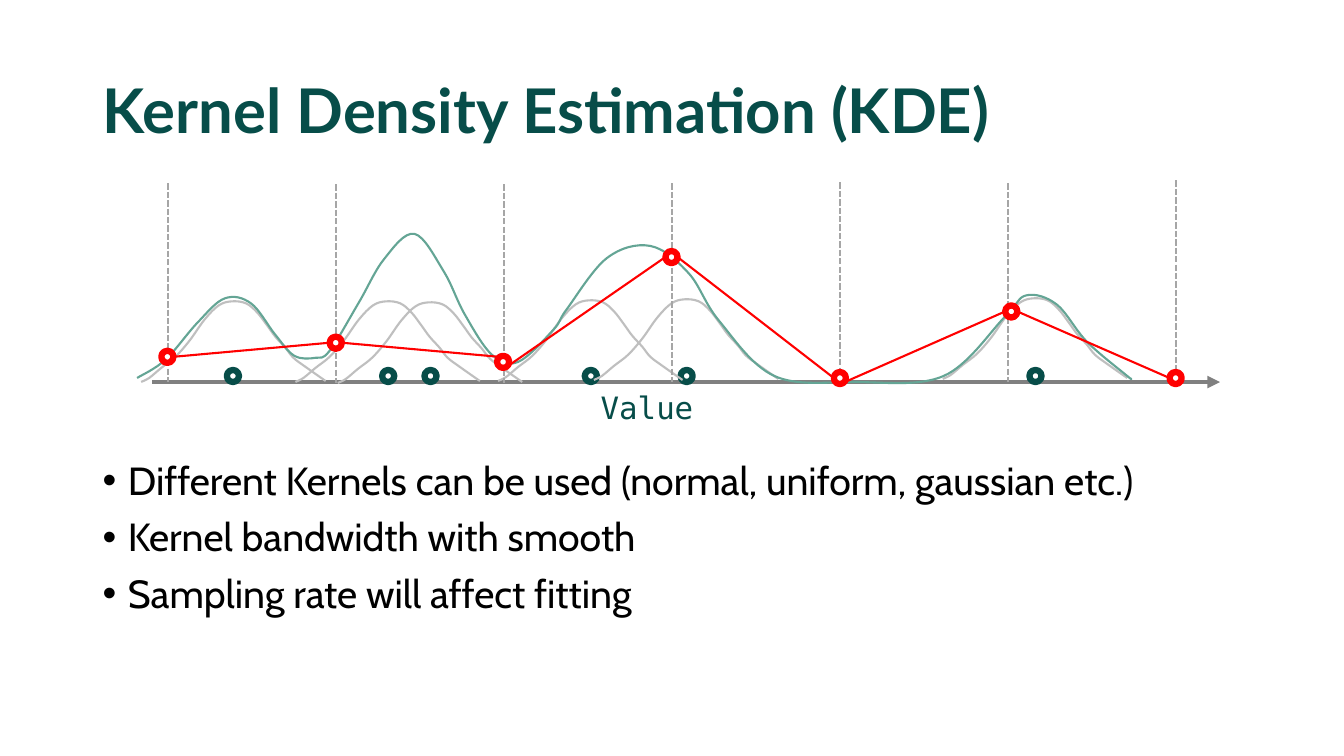
"""Build the kernel density estimation slide."""
from itertools import pairwise

from pptx import Presentation
from pptx.dml.color import RGBColor
from pptx.enum.dml import MSO_LINE
from pptx.enum.shapes import MSO_CONNECTOR, MSO_SHAPE
from pptx.enum.text import MSO_ANCHOR, MSO_AUTO_SIZE, PP_ALIGN
from pptx.oxml.ns import qn
from pptx.oxml.xmlchemy import OxmlElement
from pptx.util import Inches, Pt

COLS, ROWS = 1333, 750
COLORS = {
    "dark": "074D49", "density": "64A595", "kernel": "BFBFBF", "axis": "808080",
    "grid": "A6A6A6", "sample": "FF0000", "text": "000000", "paper": "FFFFFF",
}
AXIS_Y = 379
DOT = 12

DATA_X = [231, 385, 427, 586, 681, 1027]
KERNEL_STARTS = [(140, 379), (935, 376), (335, 380), (494, 378), (589, 377), (293, 379)]
KERNEL = [
    (0, 0), (8, -4), (20, -14), (34, -25), (48, -41), (63, -62), (77, -76),
    (90, -80), (104, -78), (115, -69), (125, -56), (133, -45), (143, -34),
    (151, -24), (163, -15), (180, -3), (183, -1),
]
DENSITY = [
    (136, 375), (164, 357), (196, 320), (223, 296), (249, 301), (273, 332),
    (292, 353), (313, 355), (327, 348), (356, 300), (381, 257), (411, 232),
    (440, 269), (461, 312), (488, 352), (514, 359), (549, 327), (562, 307),
    (602, 256), (645, 244), (683, 271), (713, 318), (768, 373), (848, 379),
    (936, 373), (997, 314), (1018, 293), (1048, 302), (1078, 339),
    (1118, 373), (1121, 375),
]
GRID_TOPS = [182, 183, 183, 182, 181, 182, 179]
GRID_HEIGHT = 197
LEFT, RIGHT, UPPER_LEFT, LOWER_RIGHT = (-6, 0), (6, 0), (-4, -5), (5, 4)
SAMPLES = [
    (166, 354, LEFT, RIGHT), (333, 340, LEFT, RIGHT),
    (499, 359, UPPER_LEFT, LOWER_RIGHT), (666, 255, LEFT, RIGHT),
    (833, 375, LEFT, LOWER_RIGHT), (1003, 309, LEFT, RIGHT),
    (1166, 375, LEFT, RIGHT),
]
BULLETS = [
    "Different Kernels can be used (normal, uniform, gaussian etc.)",
    "Kernel bandwidth with smooth",
    "Sampling rate will affect fitting",
]


class Canvas:
    """Draw styled elements on one slide, measured in grid columns and rows."""

    def __init__(self, prs):
        self.width, self.height = prs.slide_width, prs.slide_height
        self.slide = prs.slides.add_slide(prs.slide_layouts[5])
        self.shapes = self.slide.shapes

    def at(self, col, row):
        return round(col * self.width / COLS), round(row * self.height / ROWS)

    def color(self, name):
        return RGBColor.from_string(COLORS[name])

    def stroke(self, line, color, width):
        line.color.rgb = self.color(color)
        line.width = Pt(width)

    def set_text(self, tf, lines, font, size, color, bold=False, spacing=0.9, before=0):
        tf.word_wrap = True
        tf.auto_size = MSO_AUTO_SIZE.NONE
        for i, line in enumerate(lines):
            p = tf.paragraphs[0] if i == 0 else tf.add_paragraph()
            p.text = line
            p.alignment = PP_ALIGN.LEFT
            p.line_spacing = spacing
            p.space_before = Pt(before)
            for r in p.runs:
                r.font.name = font
                r.font.size = Pt(size)
                r.font.bold = bold
                r.font.color.rgb = self.color(color)

    def title(self, text, left, top, width, height):
        sp = self.shapes.title
        sp.left, sp.top = self.at(left, top)
        sp.width, sp.height = self.at(width, height)
        sp.text_frame.vertical_anchor = MSO_ANCHOR.MIDDLE
        self.set_text(sp.text_frame, [text], "Lato", 44, "dark", bold=True)

    def text(self, lines, left, top, width, height, *style, **spacing):
        sp = self.shapes.add_textbox(*self.at(left, top), *self.at(width, height))
        self.set_text(sp.text_frame, lines, *style, **spacing)
        return sp.text_frame

    def bullets(self, lines, left, top, width, height):
        tf = self.text(lines, left, top, width, height, "Cabin", 28, "text", before=10)
        for p in tf.paragraphs:
            props = p._p.get_or_add_pPr()
            props.set("marL", str(Inches(0.25)))
            props.set("indent", str(-Inches(0.25)))
            font = OxmlElement("a:buFont")
            font.set("typeface", "Arial")
            mark = OxmlElement("a:buChar")
            mark.set("char", "•")
            props.extend([font, mark])

    def line(self, start, end, color, width=1.5, dashed=False, arrow=False):
        con = self.shapes.add_connector(
            MSO_CONNECTOR.STRAIGHT, *self.at(*start), *self.at(*end))
        self.stroke(con.line, color, width)
        if dashed:
            con.line.dash_style = MSO_LINE.SQUARE_DOT
        props = con.element.spPr
        if arrow:
            tail = OxmlElement("a:tailEnd")
            tail.set("type", "triangle")
            props.find(qn("a:ln")).append(tail)
        props.append(OxmlElement("a:effectLst"))

    def dot(self, x, y, color):
        sp = self.shapes.add_shape(
            MSO_SHAPE.OVAL, *self.at(x - DOT / 2, y - DOT / 2), *self.at(DOT, DOT))
        sp.shadow.inherit = False
        sp.fill.solid()
        sp.fill.fore_color.rgb = self.color("paper")
        self.stroke(sp.line, color, 4.5)

    def curve(self, points, color):
        padded = [points[0], *points, points[-1]]
        controls = []
        for a, b, c, d in zip(padded, padded[1:], padded[2:], padded[3:]):
            controls += [
                (b[0] + (c[0] - a[0]) / 6, b[1] + (c[1] - a[1]) / 6),
                (c[0] - (d[0] - b[0]) / 6, c[1] - (d[1] - b[1]) / 6),
                c,
            ]
        builder = self.shapes.build_freeform(*self.at(*points[0]))
        builder.add_line_segments([self.at(*pt) for pt in controls], close=False)
        sp = builder.convert_to_shape()
        outline = next(sp.element.iter(qn("a:path")))
        segments = outline.findall(qn("a:lnTo"))
        for i in range(0, len(segments), 3):
            bezier = OxmlElement("a:cubicBezTo")
            for segment in segments[i:i + 3]:
                bezier.append(segment[0])
                outline.remove(segment)
            outline.append(bezier)
        sp.shadow.inherit = False
        sp.fill.background()
        self.stroke(sp.line, color, 1.5)


def main():
    prs = Presentation()
    prs.slide_width, prs.slide_height = Inches(13.33), Inches(7.5)
    s = Canvas(prs)
    s.title("Kernel Density Estimation (KDE)", 92, 40, 1150, 145)
    s.line((151, AXIS_Y), (1210, AXIS_Y), "axis", 3, arrow=True)
    s.text(["Value"], 586, 388, 161, 40, "DejaVu Sans Mono", 22, "dark",
           spacing=0.8, before=10)
    for x in DATA_X:
        s.dot(x, 373, "dark")
    for left, base in KERNEL_STARTS:
        s.curve([(left + dx, base + dy) for dx, dy in KERNEL], "kernel")
    s.curve(DENSITY, "density")
    for i, top in enumerate(GRID_TOPS, 1):
        x = i * COLS / (len(GRID_TOPS) + 1)
        s.line((x, top), (x, top + GRID_HEIGHT), "grid", dashed=True)
    for x, y, _, _ in SAMPLES:
        s.dot(x, y, "sample")
    for (x1, y1, _, leave), (x2, y2, enter, _) in pairwise(SAMPLES):
        s.line((x1 + leave[0], y1 + leave[1]), (x2 + enter[0], y2 + enter[1]), "sample")
    s.bullets(BULLETS, 92, 453, 1150, 223)
    prs.save("out.pptx")


if __name__ == "__main__":
    main()
